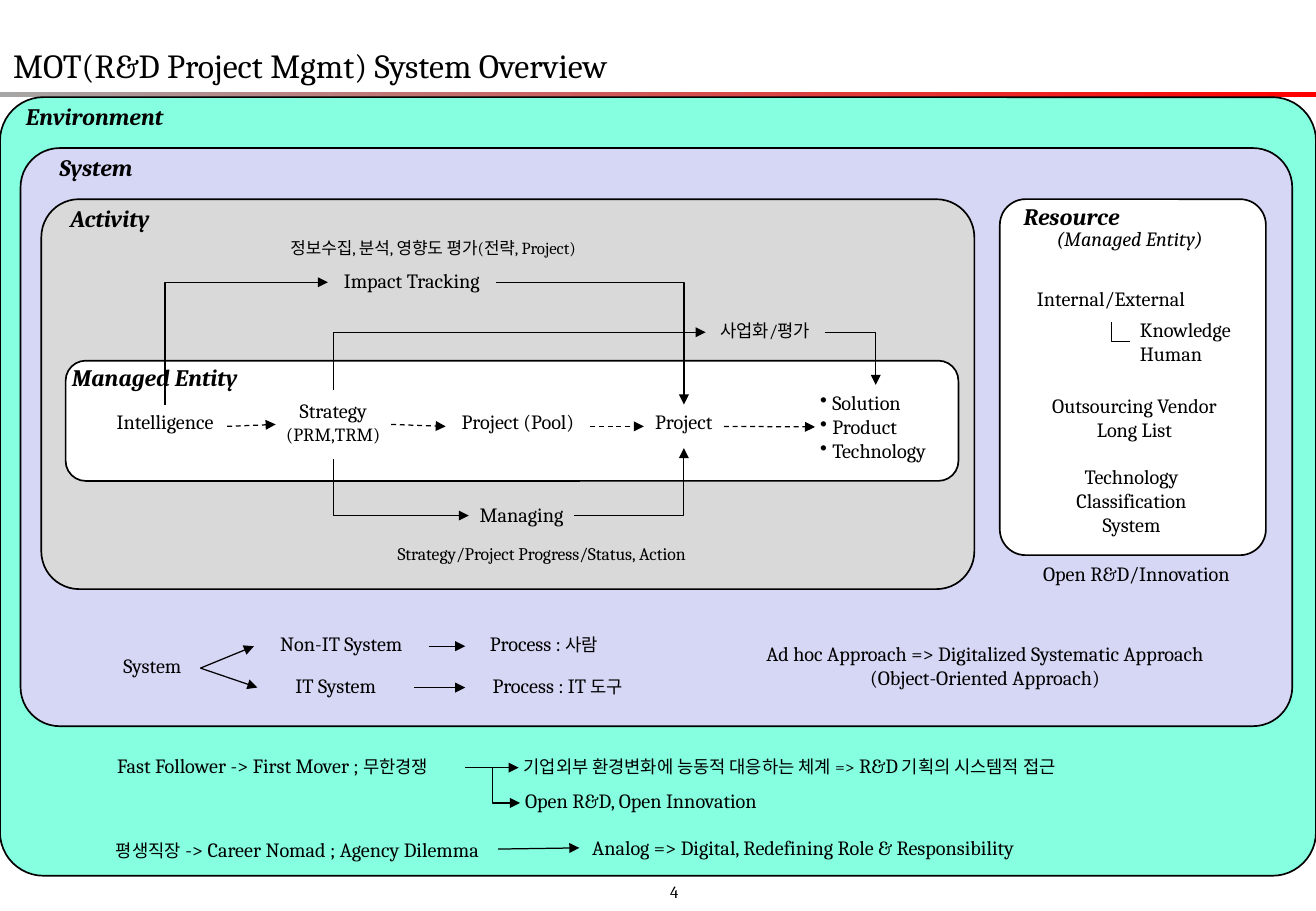
from lxml import etree
from pptx import Presentation
from pptx.dml.color import RGBColor
from pptx.enum.dml import MSO_LINE
from pptx.enum.shapes import MSO_CONNECTOR, MSO_SHAPE
from pptx.enum.text import MSO_ANCHOR, MSO_AUTO_SIZE, PP_ALIGN
from pptx.oxml.ns import qn
from pptx.util import Pt

RECT, ROUND = MSO_SHAPE.RECTANGLE, MSO_SHAPE.ROUNDED_RECTANGLE
STRAIGHT, ELBOW = MSO_CONNECTOR.STRAIGHT, MSO_CONNECTOR.ELBOW
LEFT, CENTER = PP_ALIGN.LEFT, PP_ALIGN.CENTER
TOP_SIDE, LEFT_SIDE, BOTTOM_SIDE, RIGHT_SIDE = range(4)
FONT = "Cambria"
COLORS = {
    "black": "000000", "white": "FFFFFF", "gray": "D9D9D9", "lilac": "D6D6F5",
    "mint": "85FFE0", "bar_start": "A6A6A6", "bar_end": "FF0000",
}
RGB = {name: RGBColor.from_string(value) for name, value in COLORS.items()}

# Text insets: left, top, right, bottom
PLAIN = (7.2, 3.6, 7.2, 3.6)
NODE = (3, 3, 3, 6)
TIGHT = (3, 3, 3, 3)
HEAD = (3, 0, 3, 0)
NOTE = (3, 3.6, 3, 3.6)

prs = Presentation()
prs.slide_width, prs.slide_height = Pt(780), Pt(540)
s = prs.slides.add_slide(prs.slide_layouts[6])


def add_label(box, paras, inset=PLAIN, align=CENTER, wrap=False, heading=False, italic=False):
    """Add a text box; paras holds one list of (text, size) runs per paragraph."""
    sp = s.shapes.add_textbox(*[Pt(v) for v in box])
    tf = sp.text_frame
    tf.word_wrap = wrap
    tf.auto_size = MSO_AUTO_SIZE.SHAPE_TO_FIT_TEXT
    tf.margin_left, tf.margin_top, tf.margin_right, tf.margin_bottom = [Pt(v) for v in inset]
    for i, runs in enumerate(paras):
        p = tf.paragraphs[0] if i == 0 else tf.add_paragraph()
        p.alignment = align
        for text, size in runs:
            r = p.add_run()
            r.text = text
            r.font.name, r.font.size = FONT, Pt(size)
            r.font.bold, r.font.italic = heading, heading or italic
            r.font.color.rgb = RGB["black"]
    return sp


def add_link(start, start_side, end, end_side, kind=STRAIGHT, arrow="tailEnd", dashed=False):
    """Join two boxes by their sides; one-bend links leave the start horizontally."""
    c = s.shapes.add_connector(STRAIGHT if kind == STRAIGHT else ELBOW, 0, 0, Pt(10), Pt(10))
    c.begin_connect(start, start_side)
    if isinstance(end, tuple):
        c.end_x, c.end_y = Pt(end[0]), Pt(end[1])
    else:
        c.end_connect(end, end_side)
    spPr = c._element.spPr
    if kind == "one bend":
        spPr.find(qn("a:prstGeom")).set("prst", "bentConnector2")
    c.line.width = Pt(0.75)
    c.line.color.rgb = RGB["black"]
    if dashed:
        c.line.dash_style = MSO_LINE.DASH
    if arrow:
        etree.SubElement(c.line._get_or_add_ln(), qn(f"a:{arrow}"), type="triangle")
    etree.SubElement(spPr, qn("a:effectLst"))


# Bar under the title
bar = s.shapes.add_shape(RECT, 0, Pt(54.7), Pt(780), Pt(2.9))
bar.shadow.inherit = False
bar.line.fill.background()
bar.fill.gradient()
bar.fill.gradient_angle = 0
for stop, name in zip(bar.fill.gradient_stops, ("bar_start", "bar_end")):
    stop.color.rgb = RGB[name]

# Nested panels
for x, y, w, h, corner, color in [
    (0, 57.6, 780, 461.5, 0.056, "mint"),
    (12.2, 87.8, 753.8, 342.7, 0.068, "lilac"),
    (24.5, 118.1, 553, 231.1, 0.097, "gray"),
    (38.9, 213.8, 529.2, 71.3, 0.167, "white"),
    (592.6, 118.1, 157.7, 211, 0.097, "white"),
]:
    sp = s.shapes.add_shape(ROUND, Pt(x), Pt(y), Pt(w), Pt(h))
    sp.adjustments[0] = corner
    sp.shadow.inherit = False
    sp.fill.solid()
    sp.fill.fore_color.rgb = RGB[color]
    sp.line.color.rgb = RGB["black"]
    sp.line.width = Pt(1)

# Title, page number and panel headings
add_label((0.7, 23, 384.5, 31.7), [[("MOT(R&D Project Mgmt) System Overview", 20)]], align=LEFT)
add_label((390.2, 519.1, 26.6, 18), [[("4", 10)]], align=LEFT, wrap=True)
for x, y, w, text in [
    (12.2, 60.5, 87.8, "Environment"),
    (31.7, 90.7, 50.4, "System"),
    (38.2, 121, 54, "Activity"),
    (38.9, 215.3, 105.8, "Managed Entity"),
    (603.4, 119.5, 63.4, "Resource"),
]:
    add_label((x, y, w, 17.3), [[(text, 14)]], HEAD, heading=True)

# Managed entities
intelligence = add_label((61.2, 239.8, 73.4, 25.9), [[("Intelligence", 12)]], NODE)
strategy = add_label((163.4, 231.1, 68.4, 41), [[("Strategy", 12)], [("(PRM,TRM)", 11)]], NODE)
strategy.text_frame.vertical_anchor = MSO_ANCHOR.MIDDLE
pool = add_label((264.2, 239.8, 85.7, 25.9), [[("Project (Pool)", 12)]], NODE)
project = add_label((381.6, 239.8, 47.5, 25.9), [[("Project", 12)]], NODE)
outcomes = add_label((483.1, 228.2, 72, 49.7),
                     [[(t, 12)] for t in ("Solution", "Product", "Technology")], TIGHT, LEFT)
for p in outcomes.text_frame.paragraphs:
    pPr = p._p.get_or_add_pPr()
    pPr.set("marL", str(Pt(7.2)))
    pPr.set("indent", str(-Pt(7.2)))
    etree.SubElement(pPr, qn("a:buChar"), char="•")

# Activities
impact = add_label((194.4, 156.2, 99.4, 22.3), [[("Impact Tracking", 12)]], TIGHT)
managing = add_label((277.9, 294.5, 62.6, 22.3), [[("Managing", 12)]], TIGHT)
business = add_label((418.3, 186.5, 70.6, 20.9), [[("사업화/평가", 10.5)]], TIGHT)
add_label((146.2, 137.5, 221, 21.6), [[("정보수집, 분석, 영향도 평가(전략, Project)", 10)]])
add_label((211, 318.2, 220.3, 22.3), [[("Strategy/Project Progress/Status, Action", 10.5)]])

# Resource panel
add_label((622.1, 133.9, 95, 14.4), [[("(Managed Entity)", 12)]], HEAD, italic=True)
add_label((599.8, 166.3, 117.4, 24.5), [[("Internal/External", 12)]])
knowledge = add_label((669.6, 185, 65.5, 34.6), [[("Knowledge", 12)], [("Human", 12)]],
                      (6, 3, 3, 3), LEFT)
add_label((613.4, 229.7, 118.1, 36), [[("Outsourcing Vendor", 12)], [("Long List", 12)]])
add_label((617.8, 275, 105.8, 46.8), [[("Technology Classification System", 12)]],
          (7.2, 0, 7.2, 3), wrap=True)
add_label((607, 329, 133.2, 21.6), [[("Open R&D/Innovation", 12)]])

# System branches
system = add_label((61.9, 383.8, 56.9, 24.5), [[("System", 12)]])
non_it = add_label((150.5, 370.8, 103.7, 24.5), [[("Non-IT System", 12)]])
it = add_label((152.6, 395.3, 92.9, 24.5), [[("IT System", 12)]], wrap=True)
people = add_label((275.8, 370.8, 92.9, 24.5), [[("Process :", 12), (" 사람", 10.5)]])
tools = add_label((275.8, 395.3, 109.4, 24.5), [[("Process : IT", 12), (" 도구", 10.5)]])
add_label((424.1, 376.6, 319.7, 40.3),
          [[("Ad hoc Approach => Digitalized Systematic Approach", 12)],
           [("(Object-Oriented Approach)", 12)]])

# Environment notes
follower = add_label((47.5, 442.8, 228.2, 24.5),
                     [[("Fast Follower -> First Mover ; ", 12), ("무한경쟁", 10.5)]],
                     NOTE, wrap=True)
response = add_label((307.4, 442.8, 409.7, 24.5),
                     [[("기업외부 환경변화에 능동적 대응하는 체계 =>", 10.5), (" R&D", 12),
                       (" 기획의 시스템적 접근", 10.5)]], NOTE, LEFT, True)
open_rd = add_label((308.2, 463.7, 267.8, 24.5), [[("Open R&D, Open Innovation", 12)]],
                    NOTE, LEFT, True)
career = add_label((57.6, 492.5, 237.6, 21.6),
                   [[("평생직장", 10.5), (" -> Career Nomad ; Agency Dilemma", 12)]],
                   NOTE, wrap=True)
analog = add_label((343.4, 491.8, 346.3, 21.6),
                   [[("Analog => Digital, Redefining Role & Responsibility", 12)]],
                   (7.6, 3.6, 3, 3.6), LEFT, True)

# Dashed flow through the managed entities
flow = [intelligence, strategy, pool, project, outcomes]
for start, end in zip(flow, flow[1:]):
    add_link(start, RIGHT_SIDE, end, LEFT_SIDE, dashed=True)

# Straight arrows
for start, end in [(system, non_it), (system, it), (non_it, people), (it, tools),
                   (follower, response), (career, analog)]:
    add_link(start, RIGHT_SIDE, end, LEFT_SIDE)

# Bent links: arrow at the far end, or at the start for those drawn back to their source
for start, end, end_side in [(impact, project, TOP_SIDE), (managing, project, BOTTOM_SIDE),
                             (business, outcomes, TOP_SIDE)]:
    add_link(start, RIGHT_SIDE, end, end_side, "one bend")
for start, end, end_side in [(impact, intelligence, TOP_SIDE), (managing, strategy, BOTTOM_SIDE),
                             (business, strategy, TOP_SIDE)]:
    add_link(start, LEFT_SIDE, end, end_side, "one bend", "headEnd")
add_link(follower, RIGHT_SIDE, open_rd, LEFT_SIDE, ELBOW)
add_link(knowledge, LEFT_SIDE, (658.8, 190.8), None, "one bend", None)

prs.save("out.pptx")
